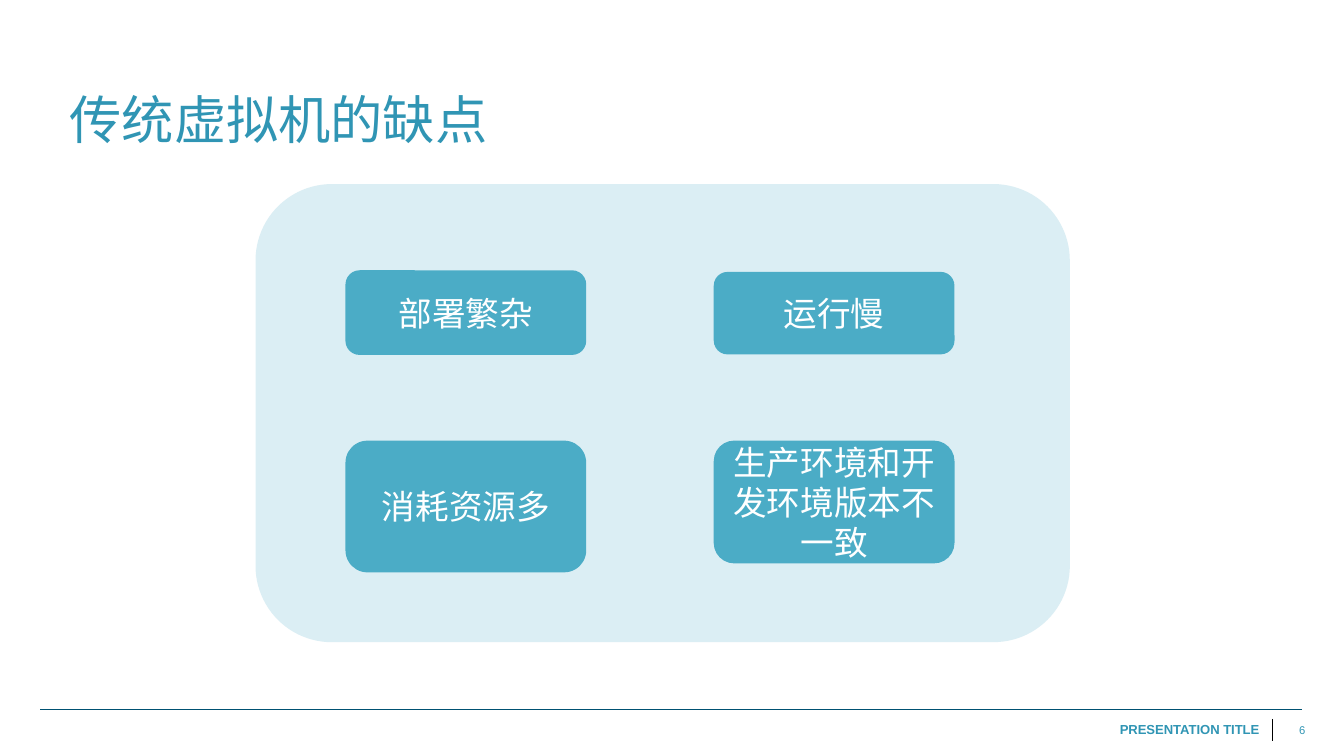
"""Build a slide listing the drawbacks of traditional virtual machines."""

from lxml.etree import SubElement
from pptx import Presentation
from pptx.dml.color import RGBColor
from pptx.enum.shapes import MSO_CONNECTOR, MSO_SHAPE
from pptx.enum.text import MSO_ANCHOR, PP_ALIGN
from pptx.oxml.ns import qn
from pptx.util import Cm, Pt

COLORS = {
    "accent": "3095B4",
    "panel": "DBEEF4",
    "card": "4BACC6",
    "card_text": "FFFFFF",
    "rule": "005172",
    "divider": "000000",
}

TITLE = ("传统虚拟机的缺点", (1.07, 0.23, 22.89, 2.74), 28)
FOOTER = ("PRESENTATION TITLE", (20.75, 13.51, 3.3, 0.56), 7)
PAGE_NUMBER = ("6", (23.93, 13.54, 0.99, 0.51), 6)
LINES = [
    ("rule", (0.76, 13.41, 24.61, 13.41)),
    ("divider", (24.05, 13.59, 24.05, 14.0)),
]
PANEL = (4.83, 3.48, 15.39, 8.66)
CARD_ROWS = [
    [("部署繁杂", 5.11, 1.6), ("运行慢", 5.14, 1.56)],
    [("消耗资源多", 8.33, 2.49), ("生产环境和开发环境版本不一致", 8.33, 2.32)],
]
CARD_LEFT, CARD_STEP, CARD_WIDTH = 6.53, 6.96, 4.55


def color(name):
    return RGBColor.from_string(COLORS[name])


def write(shape, text, size, font_name, color_name, align, anchor, bold=False):
    frame = shape.text_frame
    frame.word_wrap = True
    frame.vertical_anchor = anchor
    paragraph = frame.paragraphs[0]
    paragraph.text = text
    paragraph.alignment = align
    paragraph.font.size = Pt(size)
    paragraph.font.name = font_name
    paragraph.font.bold = bold
    paragraph.font.color.rgb = color(color_name)


def add_label(slide, label, align, anchor=MSO_ANCHOR.TOP, bold=False):
    text, box, size = label
    shape = slide.shapes.add_textbox(*map(Cm, box))
    write(shape, text, size, "Arial", "accent", align, anchor, bold)


def add_rounded(shapes, box, color_name):
    shape = shapes.add_shape(MSO_SHAPE.ROUNDED_RECTANGLE, *map(Cm, box))
    shape.shadow.inherit = False
    shape.fill.solid()
    shape.fill.fore_color.rgb = color(color_name)
    shape.line.fill.background()
    return shape


def add_line(slide, color_name, ends):
    line = slide.shapes.add_connector(MSO_CONNECTOR.STRAIGHT, *map(Cm, ends))
    line.line.color.rgb = color(color_name)
    line.line.width = Pt(0.5)
    SubElement(line._element.spPr, qn("a:effectLst"))


def main():
    presentation = Presentation()
    presentation.slide_width, presentation.slide_height = Cm(25.4), Cm(14.29)
    slide = presentation.slides.add_slide(presentation.slide_layouts[6])

    for color_name, ends in LINES:
        add_line(slide, color_name, ends)
    add_label(slide, PAGE_NUMBER, PP_ALIGN.RIGHT)
    add_label(slide, FOOTER, PP_ALIGN.RIGHT, bold=True)
    add_label(slide, TITLE, PP_ALIGN.LEFT, MSO_ANCHOR.BOTTOM)

    group = slide.shapes.add_group_shape()
    add_rounded(group.shapes, PANEL, "panel")
    for row in CARD_ROWS:
        for column, (text, top, height) in enumerate(row):
            left = CARD_LEFT + column * CARD_STEP
            card = add_rounded(group.shapes, (left, top, CARD_WIDTH, height), "card")
            write(card, text, 18, "Calibri", "card_text", PP_ALIGN.CENTER, MSO_ANCHOR.MIDDLE)

    presentation.save("out.pptx")


if __name__ == "__main__":
    main()
